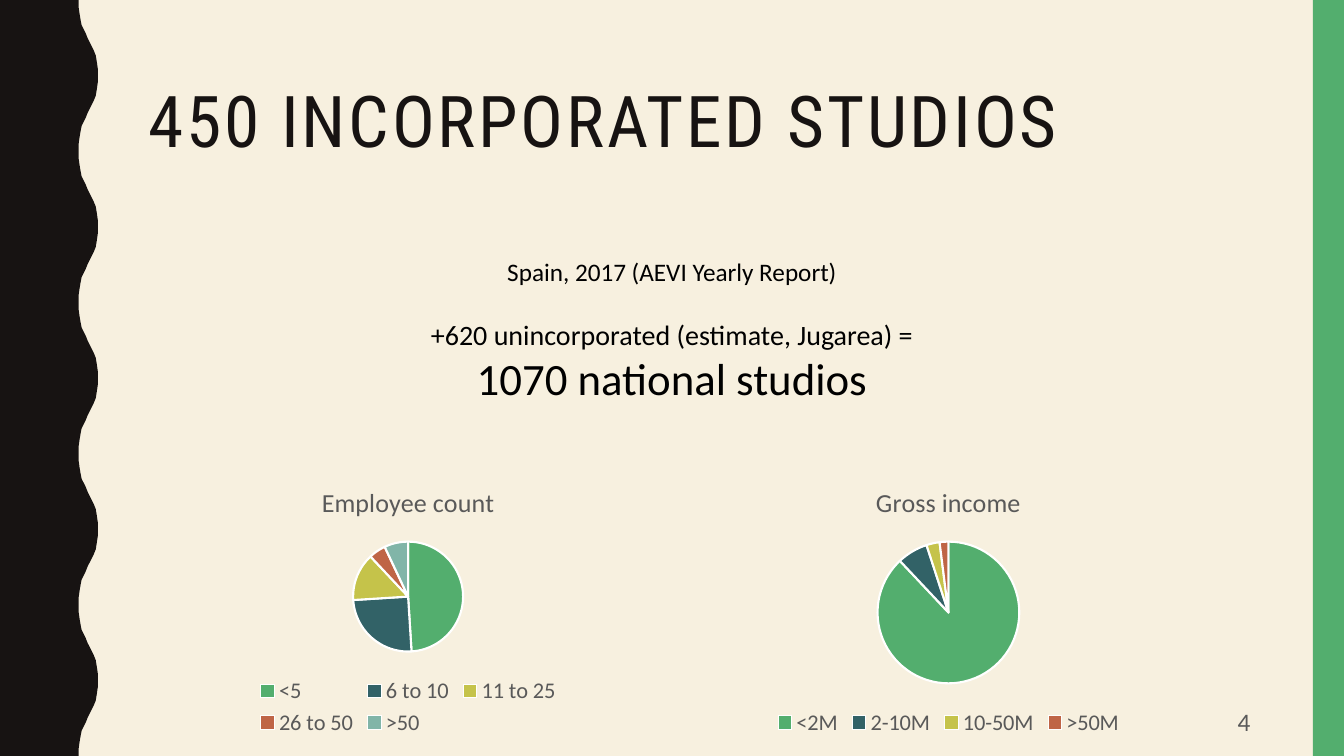
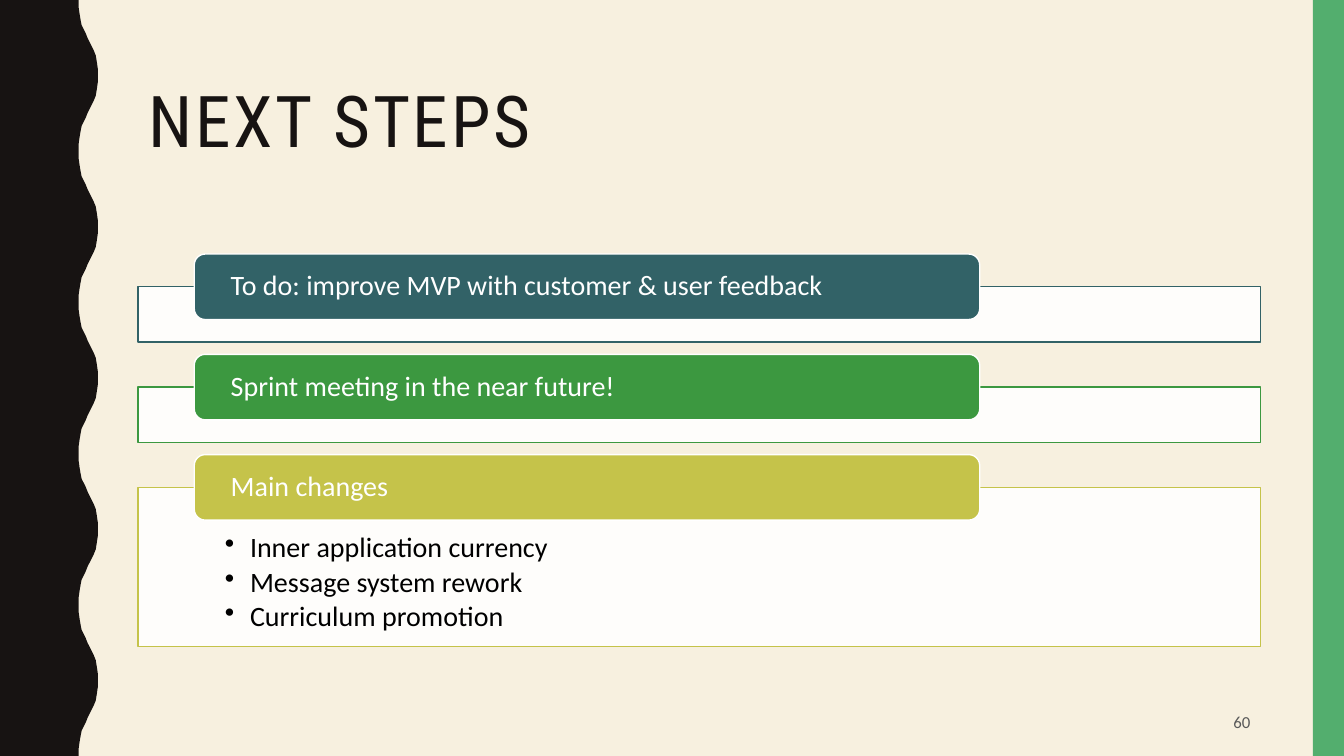
import lxml.etree
import pptx
import pptx.chart.data
import pptx.dml.color
import pptx.enum.chart
import pptx.enum.shapes
import pptx.enum.text
import pptx.oxml.ns
import pptx.util

RGBColor = pptx.dml.color.RGBColor
Inches = pptx.util.Inches
Pt = pptx.util.Pt
Align = pptx.enum.text.PP_ALIGN
Anchor = pptx.enum.text.MSO_ANCHOR
Preset = pptx.enum.shapes.MSO_SHAPE

CREAM = RGBColor(0xF7, 0xF0, 0xDF)
INK = RGBColor(0x17, 0x13, 0x12)
BLACK = RGBColor(0x00, 0x00, 0x00)
WHITE = RGBColor(0xFF, 0xFF, 0xFF)
GRAY = RGBColor(0x59, 0x59, 0x59)
MINT = RGBColor(0x53, 0xAE, 0x6E)
TEAL = RGBColor(0x32, 0x62, 0x67)
LEAF = RGBColor(0x3C, 0x98, 0x40)
OLIVE = RGBColor(0xC5, 0xC3, 0x4A)
RUST = RGBColor(0xBF, 0x65, 0x46)
SAGE = RGBColor(0x81, 0xB5, 0xA8)
SLICE_COLORS = [MINT, TEAL, OLIVE, RUST, SAGE]

HEADING_FONT = "Roboto Condensed"
BODY_FONT = "Calibri"

# Lengths in inches
WIDTH, HEIGHT = 13.33, 7.5
CONTENT_LEFT, CONTENT_WIDTH = 1.37, 11.13
CONTENT_RIGHT = CONTENT_LEFT + CONTENT_WIDTH
BAND_WIDTH = 0.31

# Rising half of one wave, in hundredths of an inch
WAVE_PERIOD = 150
WAVE_RISE = [(78, 0), (78, 7), (79, 14), (80, 20), (81, 25), (83, 29), (85, 33),
             (87, 38), (89, 42), (91, 46), (93, 50), (95, 55), (96, 61), (97, 68)]
WAVE_CREST = (97, 75)

TAB_TOP, TAB_HEIGHT = 2.52, 0.65
STEP_GAP = 0.12


def inches(*lengths):
    return [Inches(length) for length in lengths]


def paint(shape, fill, line=None):
    shape.shadow.inherit = False
    shape.fill.solid()
    shape.fill.fore_color.rgb = fill
    if line is None:
        shape.line.fill.background()
    else:
        shape.line.color.rgb = line
        shape.line.width = Pt(1)


def add_block(slide, preset, frame, fill, line=None):
    block = slide.shapes.add_shape(preset, *inches(*frame))
    paint(block, fill, line)
    return block


def set_margins(text_frame, left, top, right, bottom):
    text_frame.margin_left, text_frame.margin_top = inches(left, top)
    text_frame.margin_right, text_frame.margin_bottom = inches(right, bottom)


def style_font(font, size, color, name=BODY_FONT):
    font.name = name
    font.size = Pt(size)
    font.color.rgb = color
    font.bold = False


def write(para, text, size, color, align=Align.LEFT, name=BODY_FONT):
    para.alignment = align
    span = para.add_run()
    span.text = text
    style_font(span.font, size, color, name)
    return span


def paragraphs(text_frame, count):
    """Return count paragraphs, starting with the one already there."""
    return [text_frame.paragraphs[0]] + [text_frame.add_paragraph() for _ in range(count - 1)]


def add_bullet(para, indent):
    properties = para._p.get_or_add_pPr()
    properties.set("marL", str(Inches(indent)))
    properties.set("indent", str(-Inches(indent)))
    bullet = lxml.etree.SubElement(properties, pptx.oxml.ns.qn("a:buChar"))
    bullet.set("char", "•")


def set_opacity(shape, percent):
    color = shape._element.spPr.find(".//" + pptx.oxml.ns.qn("a:srgbClr"))
    alpha = lxml.etree.SubElement(color, pptx.oxml.ns.qn("a:alpha"))
    alpha.set("val", str(percent * 1000))


def add_wave(slide):
    fall = [(x, WAVE_PERIOD - y) for x, y in reversed(WAVE_RISE[1:])]
    wave = WAVE_RISE + [WAVE_CREST] + fall
    count = round(HEIGHT * 100 / WAVE_PERIOD)
    edge = [(x, y + index * WAVE_PERIOD) for index in range(count) for x, y in wave]
    bottom = count * WAVE_PERIOD
    builder = slide.shapes.build_freeform(0, 0, scale=Inches(0.01))
    builder.add_line_segments(edge + [(WAVE_RISE[0][0], bottom), (0, bottom)], close=True)
    paint(builder.convert_to_shape(), INK)


def add_title(slide, text):
    title = slide.shapes.title
    title.left, title.top, title.width, title.height = inches(
        CONTENT_LEFT, 0.42, CONTENT_WIDTH, 1.63)
    frame = title.text_frame
    frame.word_wrap = True
    frame.auto_size = pptx.enum.text.MSO_AUTO_SIZE.NONE
    frame.vertical_anchor = Anchor.MIDDLE
    para = frame.paragraphs[0]
    para.line_spacing = 0.9
    span = write(para, text, 51, INK, name=HEADING_FONT)
    span.font._element.set("spc", "200")


def add_page_number(slide, number, size):
    width = 3.08
    box = slide.shapes.add_textbox(*inches(CONTENT_RIGHT - width, 6.97, width, 0.38))
    box.text_frame.word_wrap = True
    box.text_frame.vertical_anchor = Anchor.MIDDLE
    write(box.text_frame.paragraphs[0], number, size, GRAY, Align.RIGHT)


def add_page(deck, title, number, number_size):
    """Add a title-only slide with the wave, the side band and the page number."""
    slide = deck.slides.add_slide(deck.slide_layouts.get_by_name("Title Only"))
    add_wave(slide)
    add_block(slide, Preset.RECTANGLE, (WIDTH - BAND_WIDTH, 0, BAND_WIDTH, HEIGHT), MINT)
    add_title(slide, title)
    add_page_number(slide, number, number_size)
    return slide


def add_summary(slide, lines):
    """Add centred lines, each given as text, size and space before in points."""
    box = slide.shapes.add_textbox(*inches(4.06, 2.49, 5.21, 1.58))
    frame = box.text_frame
    frame.word_wrap = False
    for para, (text, size, space) in zip(paragraphs(frame, len(lines)), lines):
        if space:
            para.space_before = Pt(space)
        write(para, text, size, BLACK, Align.CENTER)


def add_pie(slide, left, title, shares):
    data = pptx.chart.data.CategoryChartData()
    data.categories = list(shares)
    data.add_series(title, list(shares.values()))
    chart = slide.shapes.add_chart(
        pptx.enum.chart.XL_CHART_TYPE.PIE,
        *inches(left, 0.62 * HEIGHT, WIDTH / 3, 0.36 * HEIGHT), data).chart
    style_font(chart.font, 10, BLACK)

    chart.has_title = True
    heading = chart.chart_title.text_frame.paragraphs[0]
    write(heading, title, 18.6, GRAY, Align.CENTER)

    chart.has_legend = True
    chart.legend.position = pptx.enum.chart.XL_LEGEND_POSITION.BOTTOM
    chart.legend.include_in_layout = False
    style_font(chart.legend.font, 16, GRAY)

    plot = chart.plots[0]
    plot.vary_by_categories = True
    for index, color in zip(range(len(shares)), SLICE_COLORS):
        slice_format = plot.series[0].points[index].format
        slice_format.fill.solid()
        slice_format.fill.fore_color.rgb = color
        slice_format.line.color.rgb = WHITE
        slice_format.line.width = Pt(1.5)


def add_step(slide, top, heading, color, height, details):
    """Add a framed panel with a heading tab on its top edge; return its bottom."""
    panel_top = top + TAB_HEIGHT / 2
    panel = add_block(slide, Preset.RECTANGLE,
                      (CONTENT_LEFT, panel_top, CONTENT_WIDTH, height), WHITE, color)
    set_opacity(panel, 90)
    if details:
        frame = panel.text_frame
        frame.word_wrap = True
        frame.vertical_anchor = Anchor.TOP
        set_margins(frame, 0.86, 0.46, 0.86, 0.16)
        for para, detail in zip(paragraphs(frame, len(details)), details):
            add_bullet(para, 0.25)
            para.line_spacing = 0.9
            para.space_after = Pt(3)
            write(para, detail, 20, BLACK)

    tab = add_block(slide, Preset.ROUNDED_RECTANGLE,
                    (CONTENT_LEFT + 0.05 * CONTENT_WIDTH, top, 0.7 * CONTENT_WIDTH, TAB_HEIGHT),
                    color, WHITE)
    tab.text_frame.word_wrap = True
    tab.text_frame.vertical_anchor = Anchor.MIDDLE
    set_margins(tab.text_frame, 0.33, 0, 0.33, 0)
    label = tab.text_frame.paragraphs[0]
    label.line_spacing = 0.9
    write(label, heading, 20, WHITE)
    return panel_top + height


def build_studios(deck):
    slide = add_page(deck, "450 INCORPORATED STUDIOS", "4", 18)
    add_summary(slide, [
        ("Spain, 2017 (AEVI Yearly Report)", 18, 0),
        ("+620 unincorporated (estimate, Jugarea) =", 20, 22),
        ("1070 national studios", 32, 0),
    ])
    add_pie(slide, 0.137 * WIDTH, "Employee count",
            {"<5": 49, "6 to 10": 25, "11 to 25": 14, "26 to 50": 5, ">50": 7})
    add_pie(slide, 0.539 * WIDTH, "Gross income",
            {"<2M": 88, "2-10M": 7, "10-50M": 3, ">50M": 2})


def build_next_steps(deck):
    slide = add_page(deck, "NEXT STEPS", "60", 12)
    steps = [
        ("To do: improve MVP with customer & user feedback", TEAL, 0.55, []),
        ("Sprint meeting in the near future!", LEAF, 0.55, []),
        ("Main changes", OLIVE, 1.58,
         ["Inner application currency", "Message system rework", "Curriculum promotion"]),
    ]
    top = TAB_TOP
    for heading, color, height, details in steps:
        top = add_step(slide, top, heading, color, height, details) + STEP_GAP


def main():
    deck = pptx.Presentation()
    deck.slide_width, deck.slide_height = inches(WIDTH, HEIGHT)
    background = deck.slide_master.background.fill
    background.solid()
    background.fore_color.rgb = CREAM
    build_studios(deck)
    build_next_steps(deck)
    deck.save("out.pptx")


if __name__ == "__main__":
    main()
